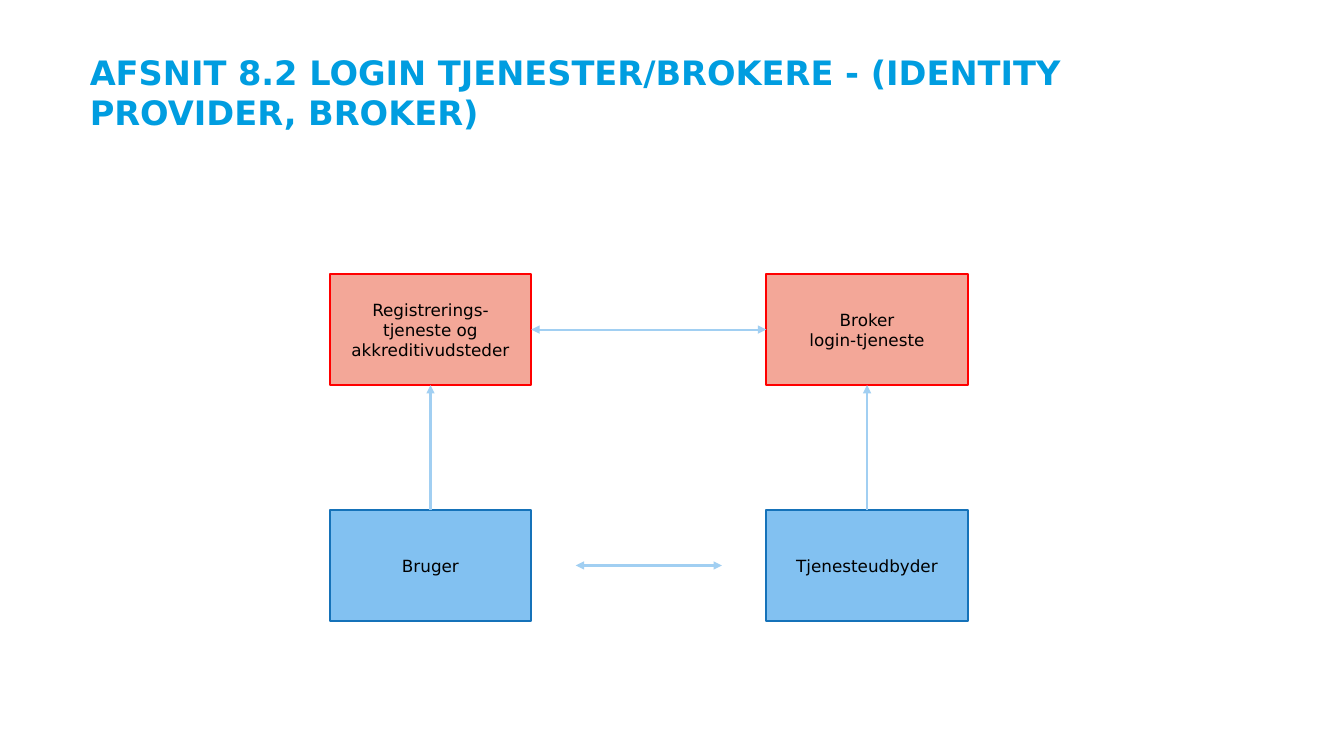
from dataclasses import dataclass

from lxml.etree import SubElement
from pptx import Presentation
from pptx.dml.color import RGBColor
from pptx.enum.shapes import MSO_CONNECTOR, MSO_SHAPE
from pptx.enum.text import MSO_ANCHOR, PP_ALIGN
from pptx.oxml.ns import qn
from pptx.util import Inches, Pt


@dataclass(frozen=True)
class Theme:
    """Colours, font and sizes of the slide."""
    font: str = "DejaVu Sans"
    title_color: str = "009DE0"
    text_color: str = "000000"
    arrow_color: str = "A1CFF2"
    service_colors: tuple = ("F3A798", "FF0000")
    party_colors: tuple = ("82C1F1", "1572B9")
    title_size: int = 24
    label_size: int = 12
    line_width: float = 1.5


THEME = Theme()
TOP, LEFT, BOTTOM, RIGHT = range(4)
BOX_WIDTH, BOX_HEIGHT = 2, 1.1


def set_attributes(target, values):
    """Set every attribute named in a dict of format values."""
    for name, value in values.items():
        setattr(target, name, value)


def set_line(line, color):
    """Give a line its colour and the theme width."""
    line.color.rgb = RGBColor.from_string(color)
    line.width = Pt(THEME.line_width)


def write_text(shape, lines, size, color, insets, bold=False,
               align=PP_ALIGN.LEFT, anchor=MSO_ANCHOR.TOP):
    """Write one paragraph per line into a shape."""
    frame = shape.text_frame
    sides = ("margin_left", "margin_top", "margin_right", "margin_bottom")
    margins = {side: Inches(inset) for side, inset in zip(sides, insets)}
    set_attributes(frame, {"word_wrap": True, "vertical_anchor": anchor, **margins})
    frame.text = "\n".join(lines)
    for paragraph in frame.paragraphs:
        paragraph.alignment = align
        set_attributes(paragraph.font, {"name": THEME.font, "size": Pt(size), "bold": bold})
        paragraph.font.color.rgb = RGBColor.from_string(color)


def add_title(slide, left, top, width, height):
    """Place the slide heading in the given box."""
    title = slide.shapes.add_textbox(*map(Inches, (left, top, width, height)))
    write_text(title, ["AFSNIT 8.2 LOGIN TJENESTER/BROKERE - (IDENTITY PROVIDER, BROKER)"],
               THEME.title_size, THEME.title_color, (0, 0.02, 0, 0), bold=True)


def add_box(slide, left, top, lines, colors):
    """Draw one labelled box and return it."""
    box = slide.shapes.add_shape(
        MSO_SHAPE.RECTANGLE, *map(Inches, (left, top, BOX_WIDTH, BOX_HEIGHT)))
    box.shadow.inherit = False
    fill_color, line_color = colors
    box.fill.solid()
    box.fill.fore_color.rgb = RGBColor.from_string(fill_color)
    set_line(box.line, line_color)
    write_text(box, lines, THEME.label_size, THEME.text_color, (0.13, 0.07, 0.13, 0.07),
               align=PP_ALIGN.CENTER, anchor=MSO_ANCHOR.MIDDLE)
    return box


def add_arrow(slide, start=(0, 0), end=(0, 0), ends=("tailEnd",)):
    """Draw a straight arrow with heads at the named ends."""
    arrow = slide.shapes.add_connector(
        MSO_CONNECTOR.STRAIGHT, *map(Inches, (*start, *end)))
    set_line(arrow.line, THEME.arrow_color)
    line = arrow.line._get_or_add_ln()
    for name in ends:
        SubElement(line, qn(f"a:{name}"), type="triangle")
    SubElement(arrow._element.spPr, qn("a:effectLst"))
    return arrow


def join_boxes(slide, source, source_side, target, target_side, ends=("tailEnd",)):
    """Connect the sides of two boxes with an arrow."""
    arrow = add_arrow(slide, ends=ends)
    arrow.begin_connect(source, source_side)
    arrow.end_connect(target, target_side)


def add_diagram(slide, left, top, width, height):
    """Place the four boxes in the corners of the given box and link them."""
    right_column = left + width - BOX_WIDTH
    bottom_row = top + height - BOX_HEIGHT
    registration = add_box(slide, left, top, ["Registrerings-tjeneste og akkreditivudsteder"],
                           THEME.service_colors)
    user = add_box(slide, left, bottom_row, ["Bruger"], THEME.party_colors)
    broker = add_box(slide, right_column, top, ["Broker", "login-tjeneste"],
                     THEME.service_colors)
    provider = add_box(slide, right_column, bottom_row, ["Tjenesteudbyder"],
                       THEME.party_colors)

    both_ends = ("headEnd", "tailEnd")
    join_boxes(slide, provider, TOP, broker, BOTTOM)
    join_boxes(slide, broker, LEFT, registration, RIGHT, both_ends)
    join_boxes(slide, user, TOP, registration, BOTTOM)
    gap = 0.44
    middle = bottom_row + BOX_HEIGHT / 2
    add_arrow(slide, (left + BOX_WIDTH + gap, middle), (right_column - gap, middle), both_ends)


def main():
    """Build and save the presentation."""
    presentation = Presentation()
    set_attributes(presentation, {"slide_width": Inches(13.33), "slide_height": Inches(7.5)})
    slide = presentation.slides.add_slide(presentation.slide_layouts[6])
    add_title(slide, 0.89, 0.49, 11.55, 0.82)
    add_diagram(slide, 3.27, 2.72, 6.33, 3.44)
    presentation.save("out.pptx")


if __name__ == "__main__":
    main()
